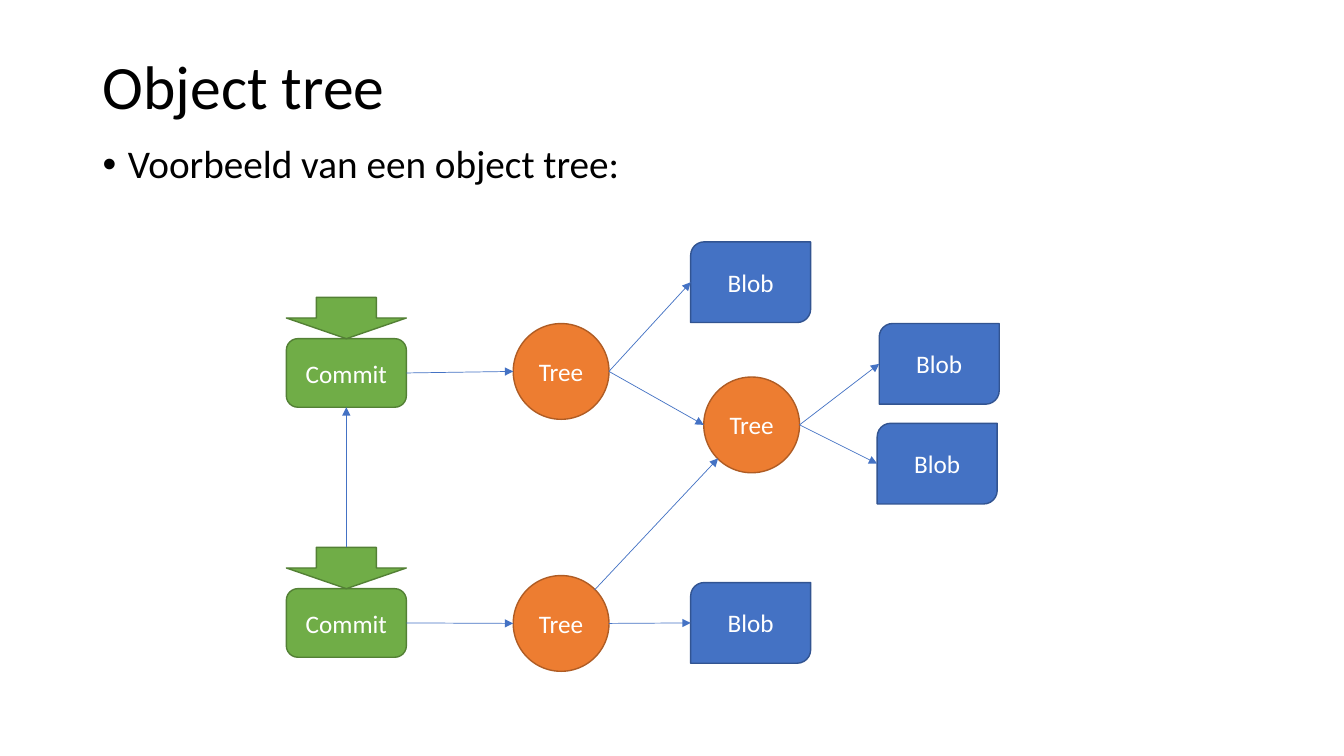
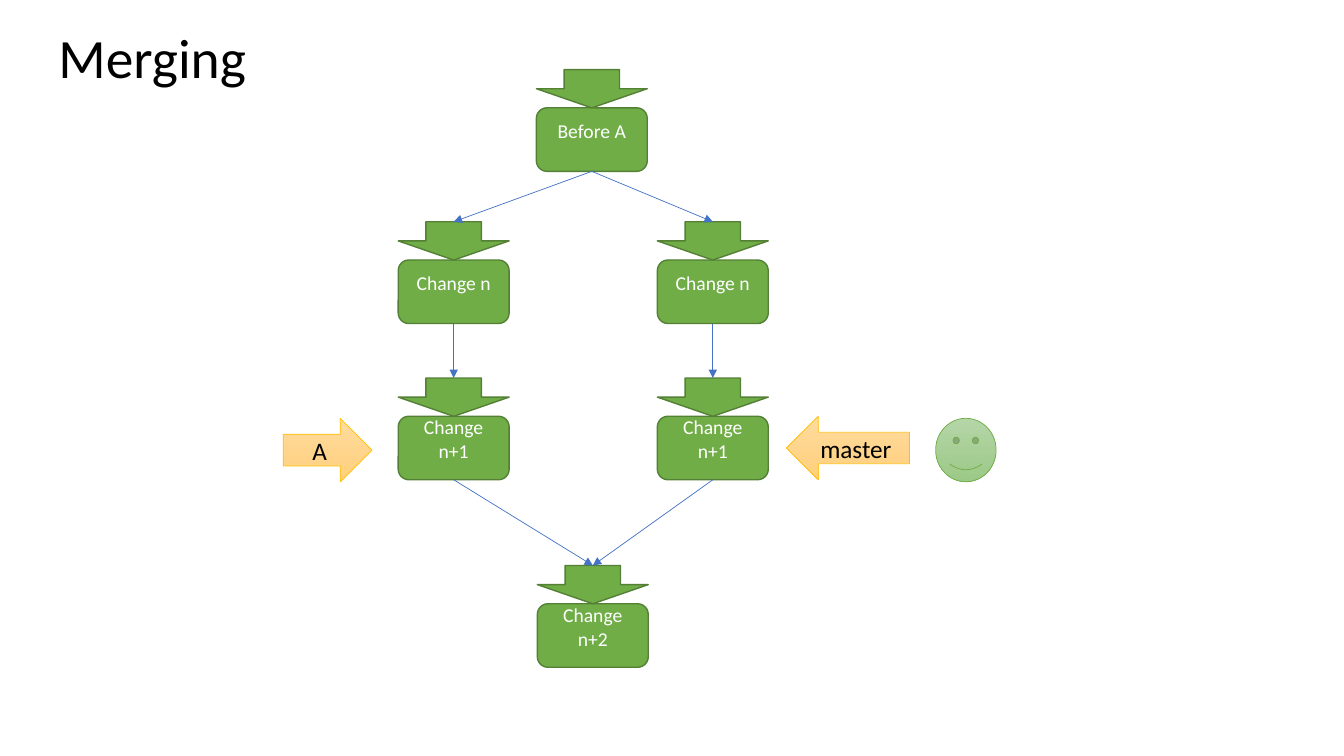
from dataclasses import dataclass
from typing import Any, NamedTuple

from lxml import etree
from pptx import Presentation
from pptx import util as u
from pptx.dml.color import RGBColor
from pptx.enum import shapes, text
from pptx.oxml import ns

COLORS = {
    "black": "000000",
    "white": "FFFFFF",
    "blue": "4472C4",
    "dark blue": "325491",
    "orange": "ED7D31",
    "dark orange": "AF5C24",
    "green": "70AD47",
    "dark green": "538035",
    "gold": "FFC000",
    "pale gold top": "FFDB9E",
    "pale gold bottom": "FFD07C",
    "pale green top": "B5D5A7",
    "pale green bottom": "9CC987",
}
FONT = "Calibri"
TITLE_ONLY = 5
DIAGONAL = 0.85

# Fractions of width and height where links touch a node
ANCHORS = {
    "top": (0.5, 0),
    "left": (0, 0.5),
    "bottom": (0.5, 1),
    "right": (1, 0.5),
    "upper right": (DIAGONAL, 1 - DIAGONAL),
    "lower left": (1 - DIAGONAL, DIAGONAL),
}
SITES = {"top": 0, "left": 1, "bottom": 2, "right": 3}
PRESET = shapes.MSO_SHAPE
# Presets whose connection sites are numbered like those of a rectangle
JOINABLE = {PRESET.FLOWCHART_ALTERNATE_PROCESS, PRESET.DOWN_ARROW}


@dataclass(frozen=True)
class Style:
    preset: Any
    width: float
    height: float
    fill: tuple[str, ...]
    line: str
    line_width: float = 1
    size: float = 18
    color: str = "white"
    bottom_inset: float = 0.05
    top_inset: float = 0.05
    head_height: float = 0


class Node(NamedTuple):
    name: str
    style: Style
    left: float
    top: float
    label: str = ""


class Link(NamedTuple):
    start: str
    start_side: str
    end: str
    end_side: str


BLOB = Style(PRESET.ROUND_2_DIAG_RECTANGLE, 1.19, 0.8, ("blue",), "dark blue")
TREE = Style(PRESET.FLOWCHART_CONNECTOR, 0.95, 0.95, ("orange",), "dark orange")
COMMIT = Style(PRESET.FLOWCHART_ALTERNATE_PROCESS, 1.19, 0.68, ("green",),
               "dark green", head_height=0.41)
CHANGE = Style(PRESET.FLOWCHART_ALTERNATE_PROCESS, 1.1, 0.63, ("green",),
               "dark green", size=14, top_inset=0, bottom_inset=0.18,
               head_height=0.38)
PALE_GOLD = ("pale gold top", "pale gold bottom")
BRANCH_A = Style(PRESET.RIGHT_ARROW, 0.88, 0.63, PALE_GOLD, "gold", 0.5,
                 color="black")
BRANCH_MASTER = Style(PRESET.LEFT_ARROW, 1.22, 0.63, PALE_GOLD, "gold", 0.5,
                      color="black")
SMILEY = Style(PRESET.SMILEY_FACE, 0.6, 0.63,
               ("pale green top", "pale green bottom"), "green", 0.5)

OBJECT_NODES = [
    Node("new commit", COMMIT, 2.84, 3.36, "Commit"),
    Node("old commit", COMMIT, 2.84, 5.84, "Commit"),
    Node("new tree", TREE, 5.09, 3.21, "Tree"),
    Node("shared tree", TREE, 6.98, 3.74, "Tree"),
    Node("old tree", TREE, 5.09, 5.71, "Tree"),
    Node("new blob", BLOB, 6.85, 2.4, "Blob"),
    Node("first shared blob", BLOB, 8.72, 3.21, "Blob"),
    Node("second shared blob", BLOB, 8.7, 4.2, "Blob"),
    Node("old blob", BLOB, 6.85, 5.78, "Blob"),
]
OBJECT_LINKS = [
    Link("new commit", "right", "new tree", "left"),
    Link("new tree", "right", "shared tree", "left"),
    Link("new tree", "right", "new blob", "left"),
    Link("shared tree", "right", "first shared blob", "left"),
    Link("shared tree", "right", "second shared blob", "left"),
    Link("old commit head", "top", "new commit", "bottom"),
    Link("old commit", "right", "old tree", "left"),
    Link("old tree", "right", "old blob", "left"),
    Link("old tree", "upper right", "shared tree", "lower left"),
]

MERGE_NODES = [
    Node("before", CHANGE, 5.32, 1.07, "Before A"),
    *(Node(f"{branch} {label}", CHANGE, left, top, label)
      for branch, left in (("A", 3.95), ("master", 6.52))
      for label, top in (("Change n", 2.58), ("Change n+1", 4.13))),
    Node("merged", CHANGE, 5.33, 5.99, "Change n+2"),
    Node("A", BRANCH_A, 2.81, 4.15, "A"),
    Node("master", BRANCH_MASTER, 7.8, 4.13, "master"),
    Node("smiley", SMILEY, 9.28, 4.15),
]
MERGE_LINKS = [
    link
    for branch in ("A", "master")
    for link in (
        Link("before", "bottom", f"{branch} Change n head", "top"),
        Link(f"{branch} Change n", "bottom", f"{branch} Change n+1 head", "top"),
        Link(f"{branch} Change n+1", "bottom", "merged head", "top"),
    )
]


def rgb(name: str) -> RGBColor:
    return RGBColor.from_string(COLORS[name])


def set_values(target: Any, values: dict[str, Any]) -> None:
    for name, value in values.items():
        setattr(target, name, value)


def place(shape: Any, left: float, top: float, width: float, height: float) -> None:
    set_values(shape, {"left": u.Inches(left), "top": u.Inches(top),
                       "width": u.Inches(width), "height": u.Inches(height)})


def write(shape: Any, content: str, size: float, color: str,
          frame_values: dict[str, Any], paragraph_values: dict[str, Any]) -> Any:
    """Fill a shape with one formatted paragraph and return the paragraph."""
    frame = shape.text_frame
    set_values(frame, {"word_wrap": True, "auto_size": text.MSO_AUTO_SIZE.NONE,
                       **frame_values})
    paragraph = frame.paragraphs[0]
    set_values(paragraph, paragraph_values)
    run = paragraph.add_run()
    run.text = content
    set_values(run.font, {"name": FONT, "size": u.Pt(size)})
    run.font.color.rgb = rgb(color)
    return paragraph


def add_titled_slide(presentation: Any, title: str, size: float,
                     box: tuple[float, float, float, float]) -> Any:
    slide = presentation.slides.add_slide(presentation.slide_layouts[TITLE_ONLY])
    place(slide.shapes.title, *box)
    write(slide.shapes.title, title, size, "black",
          {"vertical_anchor": text.MSO_ANCHOR.MIDDLE},
          {"alignment": text.PP_ALIGN.LEFT, "line_spacing": 0.9})
    return slide


def add_bullet(slide: Any, content: str) -> None:
    box = slide.shapes.add_textbox(*map(u.Inches, (0.92, 1.39, 11.5, 5.57)))
    paragraph = write(box, content, 28, "black",
                      {"vertical_anchor": text.MSO_ANCHOR.TOP},
                      {"line_spacing": 0.9, "space_before": u.Pt(10)})
    properties = paragraph._p.get_or_add_pPr()
    properties.set("marL", str(u.Inches(0.25)))
    properties.set("indent", str(-u.Inches(0.25)))
    etree.SubElement(properties, ns.qn("a:buFont"), typeface="Arial")
    etree.SubElement(properties, ns.qn("a:buChar"), char="•")


def add_styled_shape(slide: Any, preset: Any, style: Style, left: float,
                     top: float, height: float) -> Any:
    shape = slide.shapes.add_shape(
        preset, *map(u.Inches, (left, top, style.width, height)))
    shape.shadow.inherit = False
    if len(style.fill) == 1:
        shape.fill.solid()
        shape.fill.fore_color.rgb = rgb(style.fill[0])
    else:
        shape.fill.gradient()
        shape.fill.gradient_angle = 270
        for stop, color in zip(shape.fill.gradient_stops, style.fill):
            stop.color.rgb = rgb(color)
    shape.line.color.rgb = rgb(style.line)
    shape.line.width = u.Pt(style.line_width)
    return shape


def add_node(slide: Any, node: Node) -> dict[str, Any]:
    """Draw a node, with its arrow head if it has one, and return them by name."""
    style = node.style
    shape = add_styled_shape(slide, style.preset, style, node.left, node.top,
                             style.height)
    drawn = {node.name: shape}
    if node.label:
        write(shape, node.label, style.size, style.color,
              {"vertical_anchor": text.MSO_ANCHOR.MIDDLE,
               "margin_top": u.Inches(style.top_inset),
               "margin_bottom": u.Inches(style.bottom_inset)},
              {"alignment": text.PP_ALIGN.CENTER})
    if style.head_height:
        drawn[f"{node.name} head"] = add_styled_shape(
            slide, PRESET.DOWN_ARROW, style, node.left,
            node.top - style.head_height, style.head_height)
    return drawn


def anchor_point(shape: Any, side: str) -> tuple[int, int]:
    across, down = ANCHORS[side]
    return (round(shape.left + across * shape.width),
            round(shape.top + down * shape.height))


def add_link(slide: Any, link: Link, drawn: dict[str, Any]) -> None:
    start, end = drawn[link.start], drawn[link.end]
    connector = slide.shapes.add_connector(
        shapes.MSO_CONNECTOR.STRAIGHT,
        *anchor_point(start, link.start_side), *anchor_point(end, link.end_side))
    for join, shape, side in ((connector.begin_connect, start, link.start_side),
                              (connector.end_connect, end, link.end_side)):
        if shape.auto_shape_type in JOINABLE:
            join(shape, SITES[side])
    connector.line.color.rgb = rgb("blue")
    connector.line.width = u.Pt(0.5)
    etree.SubElement(connector.line._get_or_add_ln(), ns.qn("a:tailEnd"),
                     type="triangle")
    etree.SubElement(connector._element.spPr, ns.qn("a:effectLst"))


def add_diagram(slide: Any, nodes: list[Node], links: list[Link]) -> None:
    drawn: dict[str, Any] = {}
    for node in nodes:
        drawn.update(add_node(slide, node))
    for link in links:
        add_link(slide, link, drawn)


def main() -> None:
    presentation = Presentation()
    set_values(presentation, {"slide_width": u.Inches(13.33),
                              "slide_height": u.Inches(7.5)})

    object_slide = add_titled_slide(presentation, "Object tree", 44,
                                    (0.92, 0.45, 11.5, 0.87))
    add_bullet(object_slide, "Voorbeeld van een object tree:")
    add_diagram(object_slide, OBJECT_NODES, OBJECT_LINKS)

    merge_slide = add_titled_slide(presentation, "Merging", 39.6,
                                   (0.48, 0.23, 4.1, 0.74))
    add_diagram(merge_slide, MERGE_NODES, MERGE_LINKS)

    presentation.save("out.pptx")


if __name__ == "__main__":
    main()
